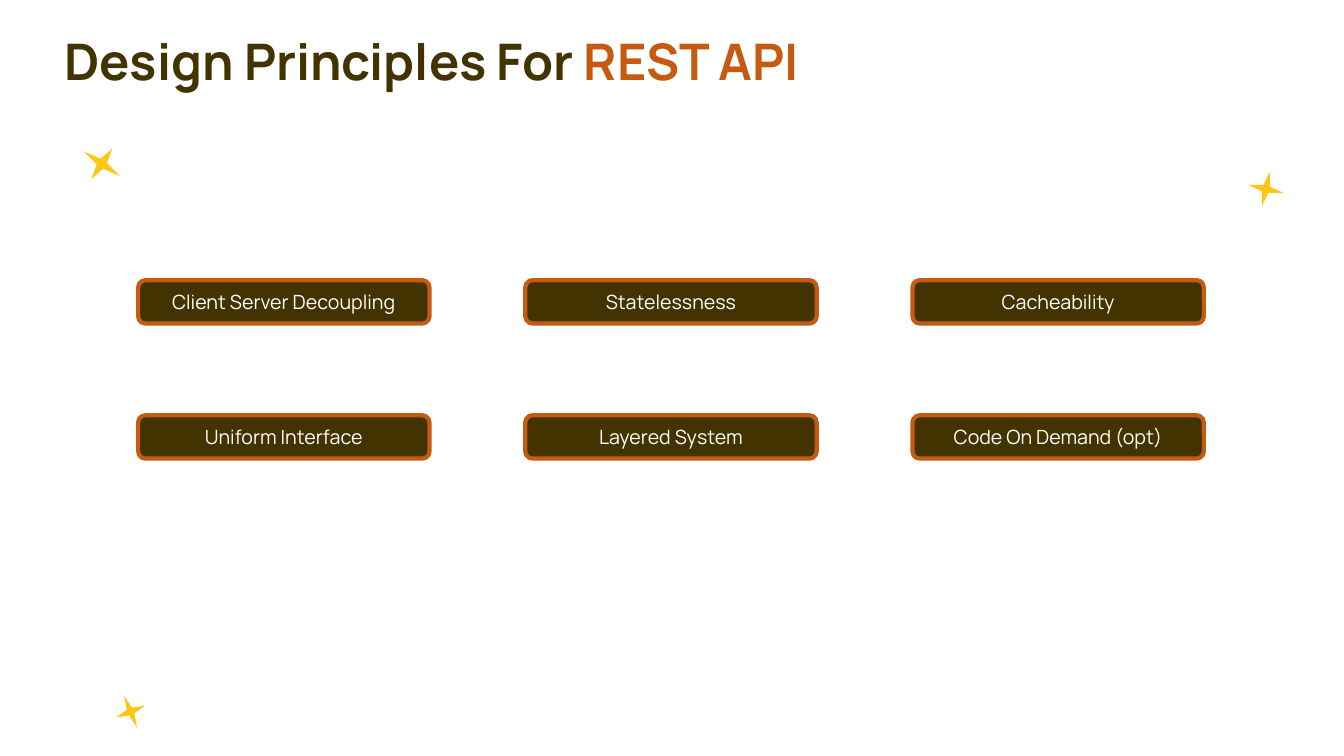
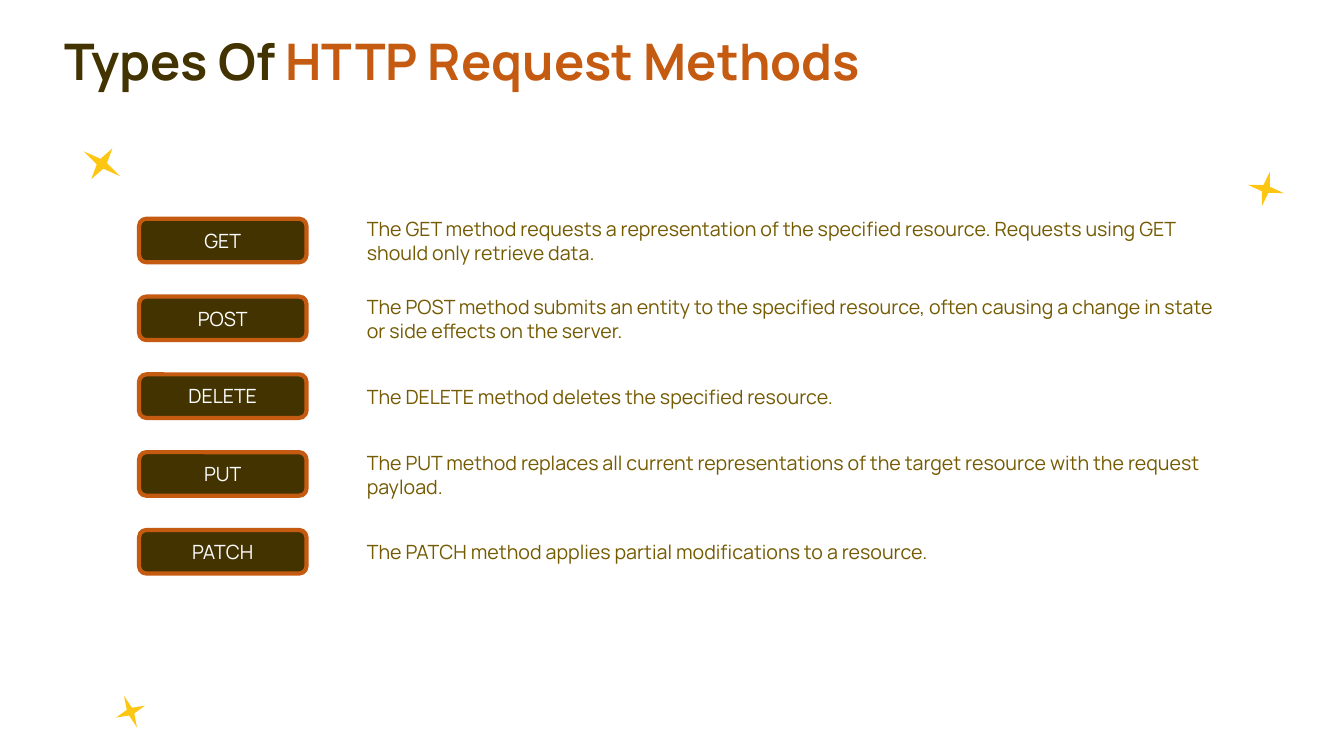
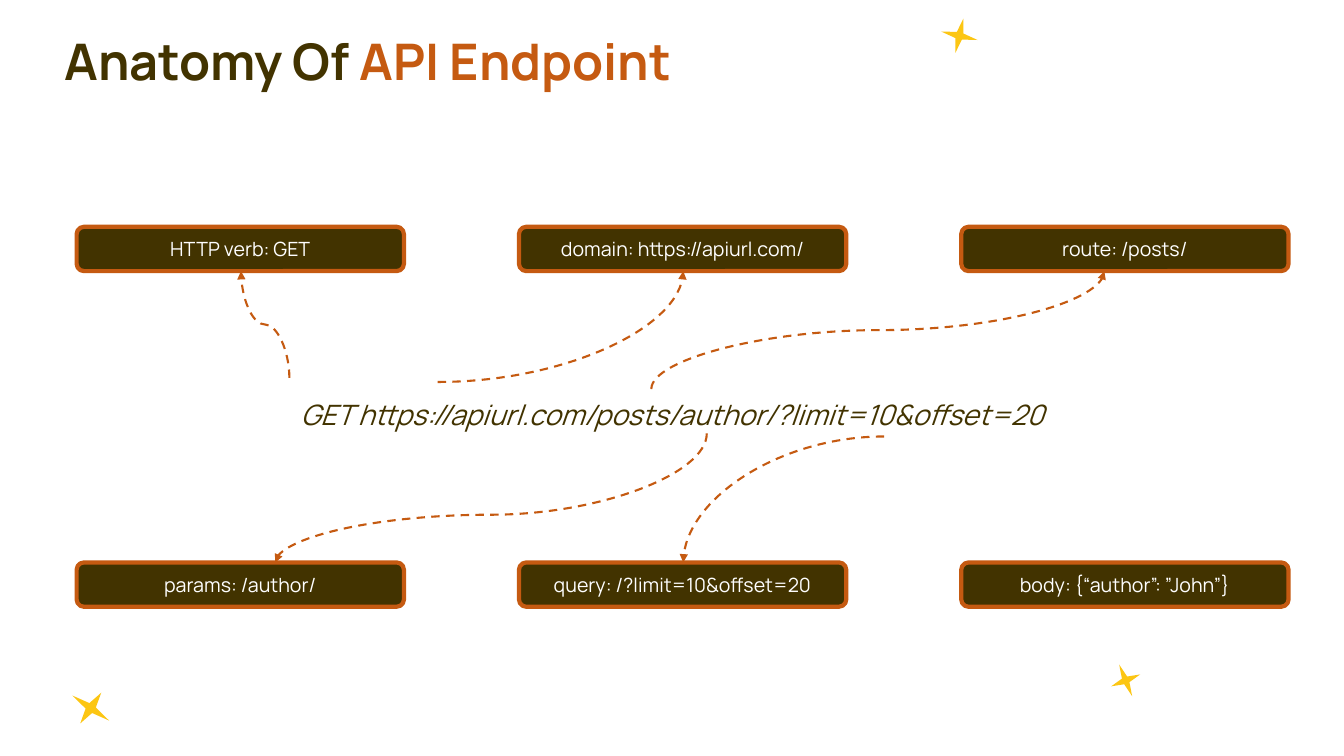
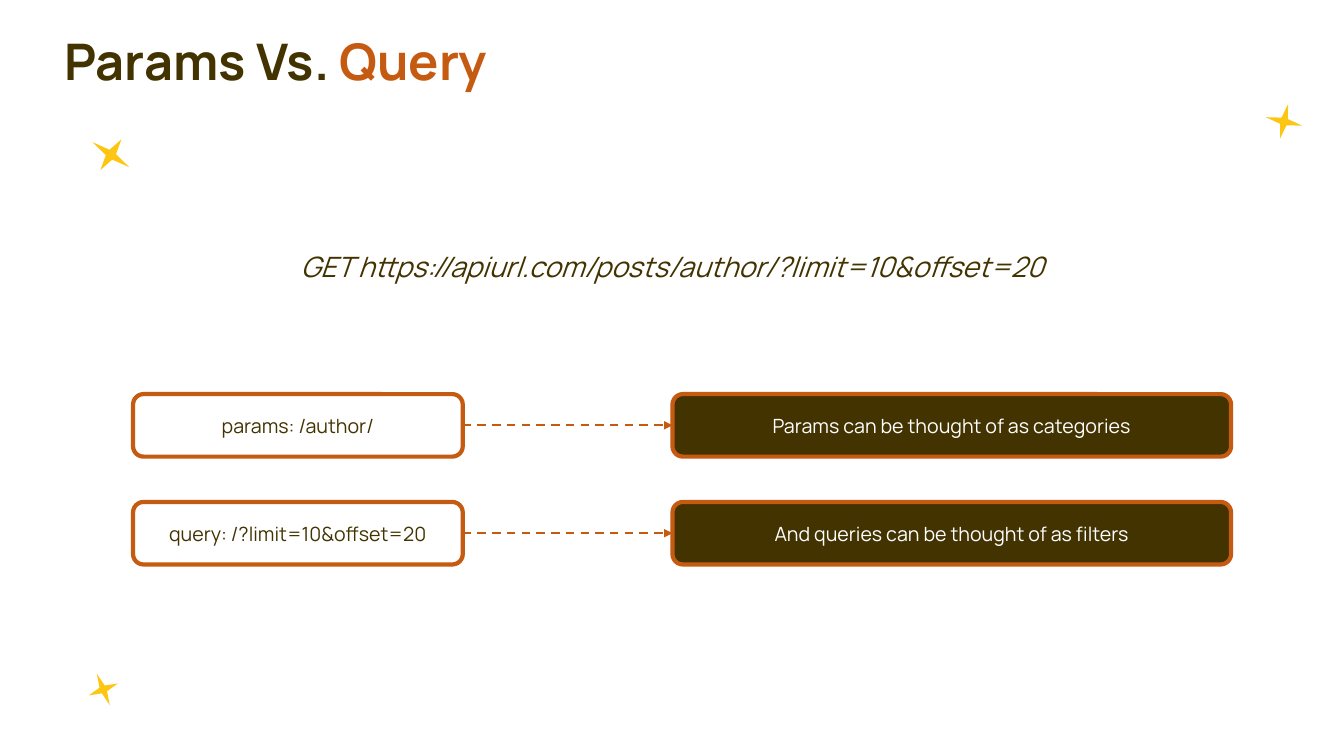
from dataclasses import dataclass

from lxml import etree
from pptx import Presentation
from pptx import util as u
from pptx.dml.color import RGBColor
from pptx.enum import dml, shapes, text
from pptx.oxml.ns import qn

FONT = "Manrope"
COLORS = {
    "brown": "423300",
    "olive": "745A00",
    "orange": "C55A11",
    "yellow": "FCC613",
    "white": "FFFFFF",
}
# Width, height and rotation of the three stars on every slide
STARS = [(0.44, 0.37, 34.3), (0.37, 0.35, 13.1), (0.31, 0.34, 337.7)]
REQUEST = "GET https://apiurl.com/posts/author/?limit=10&offset=20"


@dataclass
class Box:
    left: float
    top: float
    width: float
    height: float

    @property
    def bottom(self):
        return self.top + self.height

    def inches(self):
        return [u.Inches(side) for side in (self.left, self.top, self.width, self.height)]

    def cells(self, columns, rows, gap_x=0, gap_y=0):
        """Equal cells, row by row, with equal gaps."""
        width = (self.width - gap_x * (columns - 1)) / columns
        height = (self.height - gap_y * (rows - 1)) / rows
        return [
            Box(self.left + column * (width + gap_x), self.top + row * (height + gap_y), width, height)
            for row in range(rows)
            for column in range(columns)
        ]


TITLE = Box(0.54, 0, 11.07, 0.95)


def color(name):
    return RGBColor.from_string(COLORS[name])


# Shared parts
def write(shape, spans, size, align=text.PP_ALIGN.LEFT, anchor=text.MSO_ANCHOR.MIDDLE,
          spacing=None, bold=False, italic=False):
    """Fill a shape with one paragraph of (wording, colour) spans."""
    frame = shape.text_frame
    frame.word_wrap = True
    frame.vertical_anchor = anchor
    para = frame.paragraphs[0]
    para.alignment = align
    if spacing:
        para.line_spacing = u.Pt(spacing)
    font = para.font
    font.name, font.size, font.bold, font.italic = FONT, u.Pt(size), bold, italic
    for wording, shade in spans:
        span = para.add_run()
        span.text = wording
        span.font.color.rgb = color(shade)


def add_title(page, box, start, accent):
    write(page.shapes.add_textbox(*box.inches()), [(start, "brown"), (accent, "orange")], 36,
          anchor=text.MSO_ANCHOR.BOTTOM, spacing=50.2, bold=True)


def add_stars(page, corners):
    for (left, top), (width, height, angle) in zip(corners, STARS):
        star = page.shapes.add_shape(shapes.MSO_SHAPE.STAR_4_POINT, *Box(left, top, width, height).inches())
        star.rotation = angle
        star.shadow.inherit = False
        star.fill.solid()
        star.fill.fore_color.rgb = color("yellow")
        star.line.fill.background()


def add_pill(page, box, label, filled=True):
    pill = page.shapes.add_shape(shapes.MSO_SHAPE.ROUNDED_RECTANGLE, *box.inches())
    pill.shadow.inherit = False
    if filled:
        pill.fill.solid()
        pill.fill.fore_color.rgb = color("brown")
    else:
        pill.fill.background()
    pill.line.color.rgb = color("orange")
    pill.line.width = u.Pt(3)
    write(pill, [(label, "white" if filled else "brown")], 14, text.PP_ALIGN.CENTER)
    return pill


def add_pills(page, cells, labels, filled=True):
    return [add_pill(page, cell, label, filled) for cell, label in zip(cells, labels)]


def add_request(page, box):
    write(page.shapes.add_textbox(*box.inches()), [(REQUEST, "brown")], 20, text.PP_ALIGN.CENTER, italic=True)


# Connectors
def add_arrow(page, kind, start, end):
    """Dashed orange line with an arrowhead at its end."""
    arrow = page.shapes.add_connector(kind, *[u.Inches(value) for value in (*start, *end)])
    arrow.line.color.rgb = color("orange")
    arrow.line.width = u.Pt(1.5)
    arrow.line.dash_style = dml.MSO_LINE.DASH
    properties = arrow._element.spPr
    etree.SubElement(properties.find(qn("a:ln")), qn("a:tailEnd"), type="triangle")
    etree.SubElement(properties, qn("a:effectLst"))
    return arrow


def add_quarter_curve(page, start, end):
    """Leaves sideways and arrives upright."""
    arrow = add_arrow(page, shapes.MSO_CONNECTOR.CURVE, start, end)
    arrow._element.spPr.find(qn("a:prstGeom")).set("prst", "curvedConnector2")


def add_upright_curve(page, start, end, bend=0.5):
    """S-curve upright at both ends: a sideways curve turned a quarter about its middle."""
    (start_x, start_y), (end_x, end_y) = start, end
    middle_x, middle_y = (start_x + end_x) / 2, (start_y + end_y) / 2
    half_length = abs(end_y - start_y) / 2
    down = end_y > start_y
    half_rise = (start_x - end_x if down else end_x - start_x) / 2
    arrow = add_arrow(page, shapes.MSO_CONNECTOR.CURVE,
                      (middle_x - half_length, middle_y - half_rise),
                      (middle_x + half_length, middle_y + half_rise))
    properties = arrow._element.spPr
    properties.find(qn("a:xfrm")).set("rot", str((90 if down else 270) * 60000))
    guides = properties.find(qn("a:prstGeom")).find(qn("a:avLst"))
    etree.SubElement(guides, qn("a:gd"), name="adj1", fmla=f"val {round(bend * 100000)}")


# Slides
def build_principles(page):
    add_stars(page, [(0.79, 1.44), (12.37, 1.7), (1.14, 6.89)])
    add_title(page, TITLE, "Design Principles For ", "REST API")
    add_pills(page, Box(1.37, 2.78, 10.57, 1.77).cells(3, 2, 0.95, 0.91), [
        "Client Server Decoupling", "Statelessness", "Cacheability",
        "Uniform Interface", "Layered System", "Code On Demand (opt)",
    ])


def build_methods(page):
    add_stars(page, [(0.79, 1.44), (12.37, 1.7), (1.14, 6.89)])
    add_title(page, TITLE, "Types Of ", "HTTP Request Methods")
    methods = {
        "GET": "The GET method requests a representation of the specified resource. "
               "Requests using GET should only retrieve data.",
        "POST": "The POST method submits an entity to the specified resource, "
                "often causing a change in state or side effects on the server.",
        "DELETE": "The DELETE method deletes the specified resource.",
        "PUT": "The PUT method replaces all current representations of the target resource "
               "with the request payload.",
        "PATCH": "The PATCH method applies partial modifications to a resource.",
    }
    rows = len(methods)
    add_pills(page, Box(1.38, 2.17, 1.66, 3.52).cells(1, rows, gap_y=0.34), methods)
    for cell, wording in zip(Box(3.54, 2.1, 8.67, 3.66).cells(1, rows, gap_y=0.2), methods.values()):
        write(page.shapes.add_textbox(*cell.inches()), [(wording, "olive")], 14, spacing=17.2)


def build_anatomy(page):
    add_stars(page, [(0.68, 6.84), (9.33, 0.18), (11.01, 6.58)])
    add_title(page, TITLE, "Anatomy Of ", "API Endpoint")
    request = Box(1.68, 3.89, 9.98, 0.44)
    add_request(page, request)
    cells = Box(0.76, 2.25, 12.02, 3.77).cells(3, 2, 1.14, 2.89)
    add_pills(page, cells, [
        "HTTP verb: GET", "domain: https://apiurl.com/", "route: /posts/",
        "params: /author/", "query: /?limit=10&offset=20", "body: {“author”: ”John”}",
    ])
    verb, domain, route, params, query, _ = cells

    def leave(x, y):
        return request.left + x, request.top + y

    def under(cell, x):
        return cell.left + x, cell.bottom

    def above(cell, x):
        return cell.left + x, cell.top

    # Parts of the request point to their names
    add_upright_curve(page, leave(1.19, -0.14), under(verb, 1.63))
    add_quarter_curve(page, leave(2.66, -0.1), under(domain, 1.63))
    add_upright_curve(page, leave(4.78, -0.03), under(route, 1.42))
    add_upright_curve(page, leave(5.33, 0.41), above(params, 1.97), bend=0.63)
    add_quarter_curve(page, leave(7.09, 0.44), above(query, 1.63))


def build_comparison(page):
    add_stars(page, [(0.88, 1.35), (12.55, 1.03), (0.87, 6.67)])
    add_title(page, TITLE, "Params Vs. ", "Query")
    add_request(page, Box(1.68, 2.42, 9.98, 0.44))
    terms = add_pills(page, Box(1.32, 3.91, 3.27, 1.69).cells(1, 2, gap_y=0.45),
                      ["params: /author/", "query: /?limit=10&offset=20"], filled=False)
    meanings = add_pills(page, Box(6.67, 3.91, 5.54, 1.69).cells(1, 2, gap_y=0.45),
                         ["Params can be thought of as categories", "And queries can be thought of as filters"])
    for term, meaning in zip(terms, meanings):
        arrow = add_arrow(page, shapes.MSO_CONNECTOR.STRAIGHT, (0, 0), (1, 1))
        arrow.begin_connect(term, 3)
        arrow.end_connect(meaning, 1)


def main():
    deck = Presentation()
    deck.slide_width, deck.slide_height = u.Inches(13.33), u.Inches(7.5)
    for build in (build_principles, build_methods, build_anatomy, build_comparison):
        build(deck.slides.add_slide(deck.slide_layouts[6]))
    deck.save("out.pptx")


if __name__ == "__main__":
    main()
